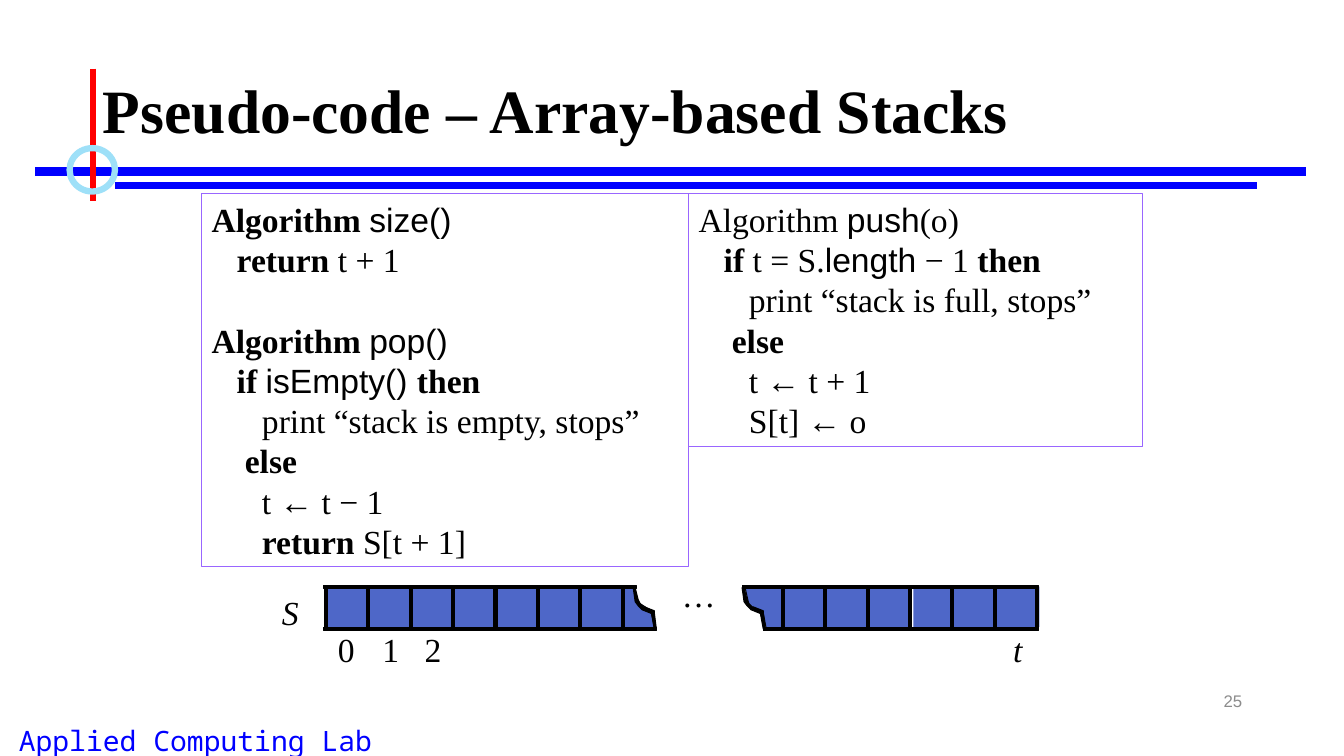
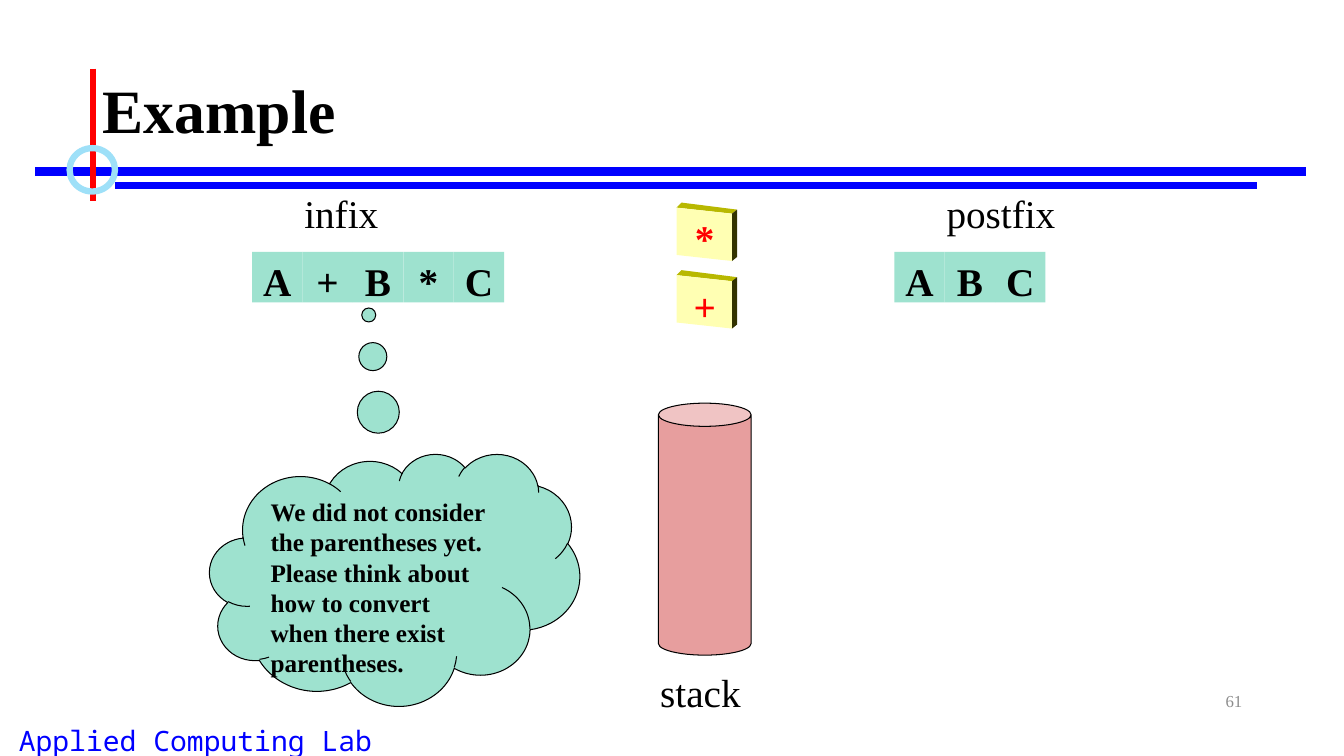
from lxml import etree
from pptx import Presentation
from pptx.dml.color import RGBColor
from pptx.enum.shapes import MSO_CONNECTOR, MSO_SHAPE as SHAPE
from pptx.enum.text import MSO_ANCHOR as ANCHOR, PP_ALIGN as ALIGN
from pptx.oxml.ns import qn
from pptx.util import Inches, Pt

BLACK, BLUE, RED, GRAY = "000000", "0000FF", "FF0000", "8C8C8C"
RING, VIOLET, CELL, MINT = "9EE0F8", "9966FF", "4E67C8", "9EE2CF"
SERIF, SANS, MONO = "Times New Roman", "Arial", "Noto Sans Mono"
BOLD, PLAIN, ARIAL = {"bold": True}, {}, {"name": SANS}
INSETS = ("margin_left", "margin_top", "margin_right", "margin_bottom")


def rgb(color):
    return RGBColor.from_string(color)


def assign(obj, values):
    for name, value in values.items():
        setattr(obj, name, value)


class Deck:
    def __init__(self):
        self.prs = Presentation()
        assign(self.prs, {"slide_width": Inches(13.33), "slide_height": Inches(7.5)})
        self.slide = None

    def new_slide(self, title, number, number_font):
        self.slide = self.prs.slides.add_slide(self.prs.slide_layouts[5])
        sp = self.slide.shapes.title
        box = zip(("left", "top", "width", "height"), (0.92, 0.4, 11.5, 1.45))
        assign(sp, {name: Inches(v) for name, v in box})
        self.fill_text(sp, [title], size=44, anchor=ANCHOR.MIDDLE, spacing=0.9, bold=True)
        self.text(-0.58, 7.13, 5.04, 0.43, "Applied Computing Lab", size=20,
                  name=MONO, color=BLUE, align=ALIGN.CENTER)
        self.line(0.35, 1.7, 12.95, 1.7, BLUE, 6)
        self.line(1.14, 1.84, 12.47, 1.84, BLUE, 4.5)
        self.line(0.92, 0.68, 0.92, 1.99, RED, 4.5)
        self.shape(SHAPE.OVAL, 0.69, 1.47, 0.45, 0.43, line=RING, weight=4.5)
        self.text(9.42, 6.75, 3, 0.4, number, size=12, name=number_font,
                  color=GRAY, align=ALIGN.RIGHT, anchor=ANCHOR.MIDDLE)

    def fill_text(self, sp, rows, size=24, name=SERIF, color=BLACK, align=ALIGN.LEFT,
                  anchor=ANCHOR.TOP, spacing=None, inset=None, **font):
        tf = sp.text_frame
        assign(tf, {"word_wrap": True, "vertical_anchor": anchor})
        if inset is not None:
            assign(tf, {side: Inches(inset) for side in INSETS})
        for i, row in enumerate(rows):
            p = tf.add_paragraph() if i else tf.paragraphs[0]
            indent, before, runs = (0, 0, [(row, PLAIN)]) if isinstance(row, str) else row
            assign(p, {"alignment": align, "space_before": Pt(before),
                       "line_spacing": spacing or Pt(size * 1.2)})
            if indent:
                p._p.get_or_add_pPr().set("marL", str(Inches(indent)))
            for text, style in runs:
                r = p.add_run()
                r.text = text
                assign(r.font, {"size": Pt(size), "name": name, **font, **style})
                r.font.color.rgb = rgb(color)

    def text(self, x, y, w, h, text, **style):
        sp = self.slide.shapes.add_textbox(*map(Inches, (x, y, w, h)))
        self.fill_text(sp, [text], **style)

    def paint(self, sp, fill, line, weight):
        sp.shadow.inherit = False
        if fill:
            sp.fill.solid()
            sp.fill.fore_color.rgb = rgb(fill)
        else:
            sp.fill.background()
        if line:
            sp.line.color.rgb = rgb(line)
            sp.line.width = Pt(weight)
        else:
            sp.line.fill.background()
        return sp

    def shape(self, kind, x, y, w, h, fill=None, line=None, weight=0.75):
        sp = self.slide.shapes.add_shape(kind, *map(Inches, (x, y, w, h)))
        return self.paint(sp, fill, line, weight)

    def polygon(self, points, fill, line=None, dx=0, dy=0):
        pts = [(Inches(x + dx), Inches(y + dy)) for x, y in points]
        fb = self.slide.shapes.build_freeform(*pts[0])
        fb.add_line_segments(pts[1:], close=True)
        return self.paint(fb.convert_to_shape(), fill, line, 0.75)

    def line(self, x1, y1, x2, y2, color, weight):
        cn = self.slide.shapes.add_connector(
            MSO_CONNECTOR.STRAIGHT, *map(Inches, (x1, y1, x2, y2)))
        cn.line.color.rgb = rgb(color)
        cn.line.width = Pt(weight)
        etree.SubElement(cn.element.spPr, qn("a:effectLst"))

    def bar(self, x, y, w, h):
        self.shape(SHAPE.RECTANGLE, x, y, w, h, BLACK, BLACK)

    def code(self, x, w, h, rows):
        sp = self.shape(SHAPE.RECTANGLE, x, 1.92, w, h, line=VIOLET)
        self.fill_text(sp, rows)

    def tiles(self, x, symbols):
        for i, symbol in enumerate(symbols):
            sp = self.shape(SHAPE.RECTANGLE, x + 0.5 * i, 2.5, 0.5, 0.5, MINT)
            self.fill_text(sp, [symbol], size=28, align=ALIGN.CENTER, bold=True)

    def block(self, y, symbol):
        self.polygon([(6.71, 0.05), (6.76, 0), (7.31, 0.07), (7.26, 0.11)], "B8B800", dy=y)
        self.polygon([(7.26, 0.11), (7.31, 0.07), (7.31, 0.54), (7.26, 0.58)], "333300", dy=y)
        self.polygon([(6.71, 0.05), (7.26, 0.11), (7.26, 0.58), (6.71, 0.52)], "FFFFB3", dy=y)
        self.text(6.7, y + 0.07, 0.58, 0.5, symbol, size=28, color=RED,
                  align=ALIGN.CENTER, bold=True)


deck = Deck()

deck.new_slide("Pseudo-code – Array-based Stacks", "25", SANS)
deck.code(2, 4.83, 3.7, [
    (0, 0, [("Algorithm ", BOLD), ("size()", ARIAL)]),
    (0.25, 0, [("return", BOLD), (" t + 1", PLAIN)]),
    (0, 28.8, [("Algorithm ", BOLD), ("pop()", ARIAL)]),
    (0.25, 0, [("if ", BOLD), ("isEmpty() ", ARIAL), ("then", BOLD)]),
    (0.5, 0, [("print “stack is empty, stops”", PLAIN)]),
    (0.33, 0, [("else", BOLD)]),
    (0.5, 0, [("t ← t − 1", PLAIN)]),
    (0.5, 0, [("return", BOLD), (" S[t + 1]", PLAIN)]),
])
deck.code(6.83, 4.5, 2.51, [
    (0, 0, [("Algorithm ", PLAIN), ("push", ARIAL), ("(o)", PLAIN)]),
    (0.25, 0, [("if ", BOLD), ("t = S.", PLAIN), ("length", ARIAL),
               (" − 1 ", PLAIN), ("then", BOLD)]),
    (0.5, 0, [("print “stack is full, stops”", PLAIN)]),
    (0.33, 0, [("else", BOLD)]),
    (0.5, 0, [("t ← t + 1", PLAIN)]),
    (0.5, 0, [("S[t] ← o", PLAIN)]),
])

deck.shape(SHAPE.RECTANGLE, 9.06, 5.82, 1.25, 0.4, CELL)
deck.polygon([(9.04, 6.24), (9.04, 5.83), (7.39, 5.83), (7.43, 6.01), (7.57, 6.08),
              (7.6, 6.24)], CELL, BLACK)
deck.polygon([(3.22, 5.83), (3.22, 6.24), (6.49, 6.24), (6.46, 6.06), (6.32, 5.97),
              (6.29, 5.83)], CELL, BLACK)
for x, y, w in [(3.21, 5.81, 3.1), (3.21, 6.23, 3.3), (7.36, 5.81, 2.93), (7.57, 6.23, 2.73)]:
    deck.bar(x, y, w, 0.03)
for first, count in [(3.22, 8), (7.75, 7)]:
    for i in range(count):
        deck.bar(first + 0.42 * i, 5.81, 0.03, 0.44)
TEAR = [
    [(6.3, 5.83), (6.33, 5.95), (6.35, 5.99), (6.39, 6.03), (6.37, 6.05), (6.33, 6.01),
     (6.3, 5.97), (6.28, 5.83)],
    [(6.39, 6.02), (6.49, 6.06), (6.49, 6.08), (6.47, 6.09), (6.37, 6.05)],
    [(6.49, 6.08), (6.46, 6.08), (6.49, 6.24), (6.51, 6.24)],
]
for dx in (0, 1.08):
    for piece in TEAR:
        deck.polygon(piece, BLACK, BLACK, dx=dx)
for x, y, w, label, italic in [(2.72, 5.87, 0.32, "S", True), (3.35, 6.24, 0.17, "0", False),
                               (3.79, 6.24, 0.17, "1", False), (4.21, 6.24, 0.17, "2", False),
                               (9.94, 6.24, 0.31, "t", True), (6.76, 5.69, 0.34, "…", False)]:
    deck.text(x, y, w, 0.4, label, align=ALIGN.CENTER, inset=0, italic=italic)

deck.new_slide("Example", "61", SERIF)
deck.tiles(2.5, "A+B*C")
deck.tiles(8.87, "ABC")
can = deck.shape(SHAPE.CAN, 6.53, 4, 0.92, 2.5, "C00000", BLACK)
color = can.element.spPr.find(qn("a:solidFill"))[0]
etree.SubElement(color, qn("a:alpha"), val="38000")
deck.block(2.68, "+")
deck.block(2.01, "*")
for x, y, w, label in [(2.92, 1.83, 1.06, "infix"), (9.29, 1.83, 1.44, "postfix"),
                       (6.45, 6.58, 1.1, "stack")]:
    deck.text(x, y, w, 0.57, label, size=28)
cloud = deck.shape(SHAPE.CLOUD_CALLOUT, 2.08, 4.5, 3.67, 2.5, MINT, BLACK)
cloud.adjustments[0], cloud.adjustments[1] = -0.07, -1.05
deck.fill_text(cloud, ["We did not consider the parentheses yet. Please think about how to "
                       "convert when there exist parentheses."], size=18, bold=True)

deck.prs.save("out.pptx")
